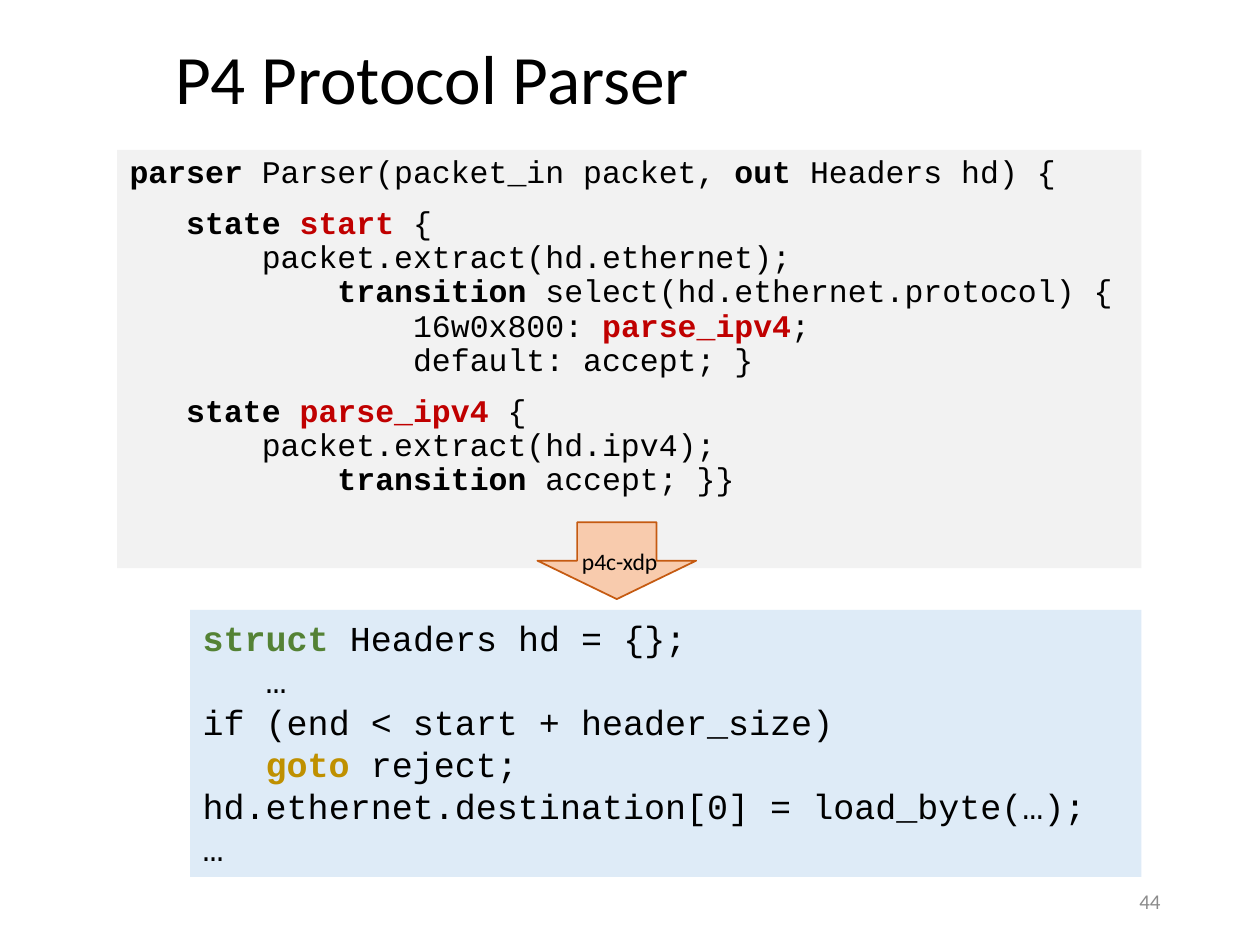
import dataclasses

import lxml.etree
import pptx
import pptx.dml.color
import pptx.enum.shapes
import pptx.enum.text
import pptx.oxml.ns
import pptx.util

Inches = pptx.util.Inches
Pt = pptx.util.Pt
ALIGN = pptx.enum.text.PP_ALIGN
ANCHOR = pptx.enum.text.MSO_ANCHOR
SHAPES = pptx.enum.shapes.MSO_SHAPE

BLACK, RED, GREEN, GOLD = "000000", "C00000", "548235", "BF9000"


@dataclasses.dataclass(frozen=True)
class Token:
    text: str
    color: str = BLACK
    bold: bool = False


@dataclasses.dataclass(frozen=True)
class CodePanel:
    box: tuple[float, float, float, float]
    fill: str
    size: float
    paragraphs: list[list[Token]]
    line_spacing: float = 1.0
    space_before: float = 0


def keyword(text: str, color: str = BLACK) -> Token:
    return Token(text, color, True)


PANELS = [
    CodePanel((0.93, 1.19, 8.13, 3.32), "F2F2F2", 18, [
        [keyword("parser"), Token(" Parser(packet_in packet, "),
         keyword("out"), Token(" Headers hd) {")],
        [keyword("   state "), keyword("start", RED),
         Token(" {\n       packet.extract(hd.ethernet);\n           "),
         keyword("transition"),
         Token(" select(hd.ethernet.protocol) {\n               16w0x800: "),
         keyword("parse_ipv4", RED),
         Token(";\n               default: accept; }")],
        [keyword("   state "), keyword("parse_ipv4", RED),
         Token(" {\n       packet.extract(hd.ipv4);\n           "),
         keyword("transition"), Token(" accept; }}")],
    ], line_spacing=0.9, space_before=10),
    CodePanel((1.51, 4.84, 7.55, 2.12), "DEEBF7", 20, [
        [keyword("struct ", GREEN), Token("Headers hd = {};")],
        [Token("\t…")],
        [Token("if (end < start + header_size)")],
        [Token("\t"), keyword("goto ", GOLD), Token("reject;")],
        [Token("hd.ethernet.destination[0] = load_byte(…);")],
        [Token("…")],
    ]),
]


def rgb(color: str) -> pptx.dml.color.RGBColor:
    return pptx.dml.color.RGBColor.from_string(color)


def style_font(font, name: str, size: float, color: str, bold: bool = False) -> None:
    font.name = name
    font.size = Pt(size)
    font.bold = bold
    font.color.rgb = rgb(color)


def add_filled_shape(slide, kind, box, fill: str):
    shape = slide.shapes.add_shape(kind, *map(Inches, box))
    shape.shadow.inherit = False
    shape.fill.solid()
    shape.fill.fore_color.rgb = rgb(fill)
    shape.line.fill.background()
    return shape


def add_tab_stop(paragraph, position: float) -> None:
    properties = paragraph._p.get_or_add_pPr()
    tabs = lxml.etree.SubElement(properties, pptx.oxml.ns.qn("a:tabLst"))
    lxml.etree.SubElement(tabs, pptx.oxml.ns.qn("a:tab"),
                          pos=str(Inches(position)), algn="l")


def add_token(paragraph, token: Token, size: float) -> None:
    for index, line in enumerate(token.text.split("\n")):
        if index:
            paragraph.add_line_break()
        run = paragraph.add_run()
        run.text = line
        style_font(run.font, "Courier New", size, token.color, token.bold)


def add_code_panel(slide, panel: CodePanel) -> None:
    shape = add_filled_shape(slide, SHAPES.RECTANGLE, panel.box, panel.fill)
    frame = shape.text_frame
    frame.word_wrap = True
    frame.vertical_anchor = ANCHOR.TOP
    for index, tokens in enumerate(panel.paragraphs):
        paragraph = frame.add_paragraph() if index else frame.paragraphs[0]
        paragraph.alignment = ALIGN.LEFT
        paragraph.line_spacing = panel.line_spacing
        paragraph.space_before = Pt(panel.space_before if index else 0)
        if tokens[0].text.startswith("\t"):
            add_tab_stop(paragraph, 0.5)
        for token in tokens:
            add_token(paragraph, token, panel.size)


def write_line(shape, text: str, size: float, color: str = BLACK,
               align=ALIGN.LEFT, anchor=ANCHOR.MIDDLE, wrap: bool = True):
    frame = shape.text_frame
    frame.auto_size = pptx.enum.text.MSO_AUTO_SIZE.NONE
    frame.word_wrap = wrap
    frame.vertical_anchor = anchor
    paragraph = frame.paragraphs[0]
    paragraph.text = text
    paragraph.alignment = align
    style_font(paragraph.font, "Calibri", size, color)
    return paragraph


def main() -> None:
    presentation = pptx.Presentation()
    presentation.slide_width = Inches(10)
    presentation.slide_height = Inches(7.5)
    slide = presentation.slides.add_slide(presentation.slide_layouts[5])

    title = slide.shapes.title
    title.left, title.top, title.width, title.height = map(
        Inches, (1.29, 0.4, 5.06, 0.51))
    write_line(title, "P4 Protocol Parser", 39.6).line_spacing = 0.9

    for panel in PANELS:
        add_code_panel(slide, panel)

    arrow = add_filled_shape(slide, SHAPES.RIGHT_ARROW, (4.59, 3.82, 0.61, 1.26), "F8CBAD")
    arrow.rotation = 90
    arrow.line.color.rgb = rgb("C55A11")
    arrow.line.width = Pt(1)

    label = slide.shapes.add_textbox(*map(Inches, (4.52, 4.29, 0.81, 0.33)))
    write_line(label, "p4c-xdp", 13.5, anchor=ANCHOR.TOP, wrap=False)
    number = slide.shapes.add_textbox(*map(Inches, (7.06, 6.95, 2.25, 0.4)))
    write_line(number, "44", 12, "8C8C8C", ALIGN.RIGHT)

    presentation.save("out.pptx")


if __name__ == "__main__":
    main()
